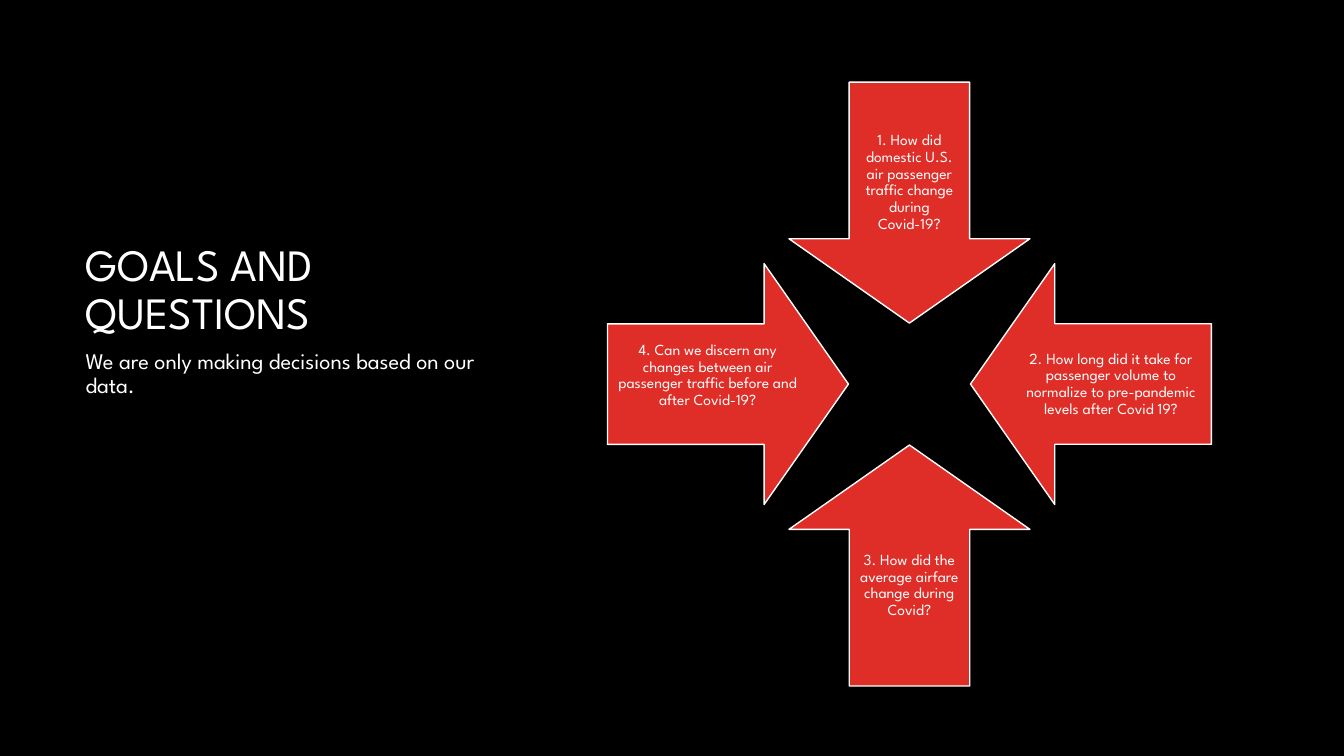
from pptx import Presentation
from pptx.dml.color import RGBColor
from pptx.enum.shapes import MSO_SHAPE
from pptx.enum.text import MSO_ANCHOR, MSO_AUTO_SIZE, PP_ALIGN
from pptx.util import Inches, Pt

COLOURS = {"background": "000000", "arrow": "DF2E28", "text": "FFFFFF"}
FONT = "League Spartan"
CENTRE_X, CENTRE_Y = 9.02, 3.81
ARROW_SIZE, ARROW_DISTANCE = 2.39, 1.8
LABEL_LENGTH, LABEL_WIDTH, LABEL_DISTANCE = 1.97, 1.19, 2.0
LABEL_INSET = 0.09

QUESTIONS = [
    ("1. How did domestic U.S. air passenger traffic change during Covid-19?", 0, -1, LABEL_INSET),
    ("2. How long did it take for passenger volume to normalize to pre-pandemic levels after Covid 19?",
     1, 0, LABEL_INSET),
    ("3. How did the average airfare change during Covid?", 0, 1, LABEL_INSET),
    ("4. Can we discern any changes between air passenger traffic before and after Covid-19?",
     -1, 0, 0.26),
]


def colour(name):
    return RGBColor.from_string(COLOURS[name])


def set_attributes(target, values):
    for name, value in values.items():
        setattr(target, name, value)


def place(shape, left, top, width, height):
    set_attributes(shape, {"left": Inches(left), "top": Inches(top),
                           "width": Inches(width), "height": Inches(height)})


def write_text(shape, text, size, frame_format, paragraph_format):
    frame = shape.text_frame
    set_attributes(frame, {"word_wrap": True, "auto_size": MSO_AUTO_SIZE.NONE, **frame_format})
    paragraph = frame.paragraphs[0]
    set_attributes(paragraph, {"line_spacing": 0.9, **paragraph_format})
    run = paragraph.add_run()
    run.text = text
    set_attributes(run.font, {"name": FONT, "size": Pt(size)})
    run.font.color.rgb = colour("text")


def add_title(slide, text):
    title = slide.shapes.title
    place(title, 0.75, 1.67, 4.5, 1.75)
    write_text(title, text, 32, {"vertical_anchor": MSO_ANCHOR.BOTTOM},
               {"alignment": PP_ALIGN.LEFT})


def add_text(shapes, text, box, size, frame_format, paragraph_format):
    left, top, width, height = map(Inches, box)
    shape = shapes.add_textbox(left, top, width, height)
    write_text(shape, text, size, frame_format, paragraph_format)


def centred_box(x, y, width, height):
    return x - width / 2, y - height / 2, width, height


def add_arrow(shapes, x, y, rotation):
    box = map(Inches, centred_box(x, y, ARROW_SIZE, ARROW_SIZE))
    arrow = shapes.add_shape(MSO_SHAPE.DOWN_ARROW, *box)
    arrow.adjustments[0] = 0.5
    arrow.adjustments[1] = 0.35
    arrow.rotation = rotation
    arrow.shadow.inherit = False
    arrow.fill.solid()
    arrow.fill.fore_color.rgb = colour("arrow")
    arrow.line.color.rgb = colour("text")
    arrow.line.width = Pt(1)


def add_question(shapes, text, across, down, rotation, bottom_inset):
    add_arrow(shapes, CENTRE_X + across * ARROW_DISTANCE,
              CENTRE_Y + down * ARROW_DISTANCE, rotation)
    width, height = (LABEL_LENGTH, LABEL_WIDTH) if across else (LABEL_WIDTH, LABEL_LENGTH)
    box = centred_box(CENTRE_X + across * LABEL_DISTANCE,
                      CENTRE_Y + down * LABEL_DISTANCE, width, height)
    inset = Inches(LABEL_INSET)
    add_text(shapes, text, box, 11,
             {"vertical_anchor": MSO_ANCHOR.MIDDLE, "margin_left": inset,
              "margin_right": inset, "margin_top": inset,
              "margin_bottom": Inches(bottom_inset)},
             {"alignment": PP_ALIGN.CENTER})


def main():
    presentation = Presentation()
    set_attributes(presentation, {"slide_width": Inches(13.33), "slide_height": Inches(7.5)})
    slide = presentation.slides.add_slide(presentation.slide_layouts[5])
    slide.background.fill.solid()
    slide.background.fill.fore_color.rgb = colour("background")

    add_title(slide, "GOALS AND QUESTIONS")
    diagram = slide.shapes.add_group_shape()
    for index, (text, across, down, bottom_inset) in enumerate(QUESTIONS):
        add_question(diagram.shapes, text, across, down, index * 90, bottom_inset)
    add_text(slide.shapes, "We are only making decisions based on our data.",
             (0.75, 3.42, 4.5, 3.38), 16, {"vertical_anchor": MSO_ANCHOR.TOP},
             {"space_before": Pt(10), "alignment": PP_ALIGN.LEFT})
    presentation.save("out.pptx")


if __name__ == "__main__":
    main()
